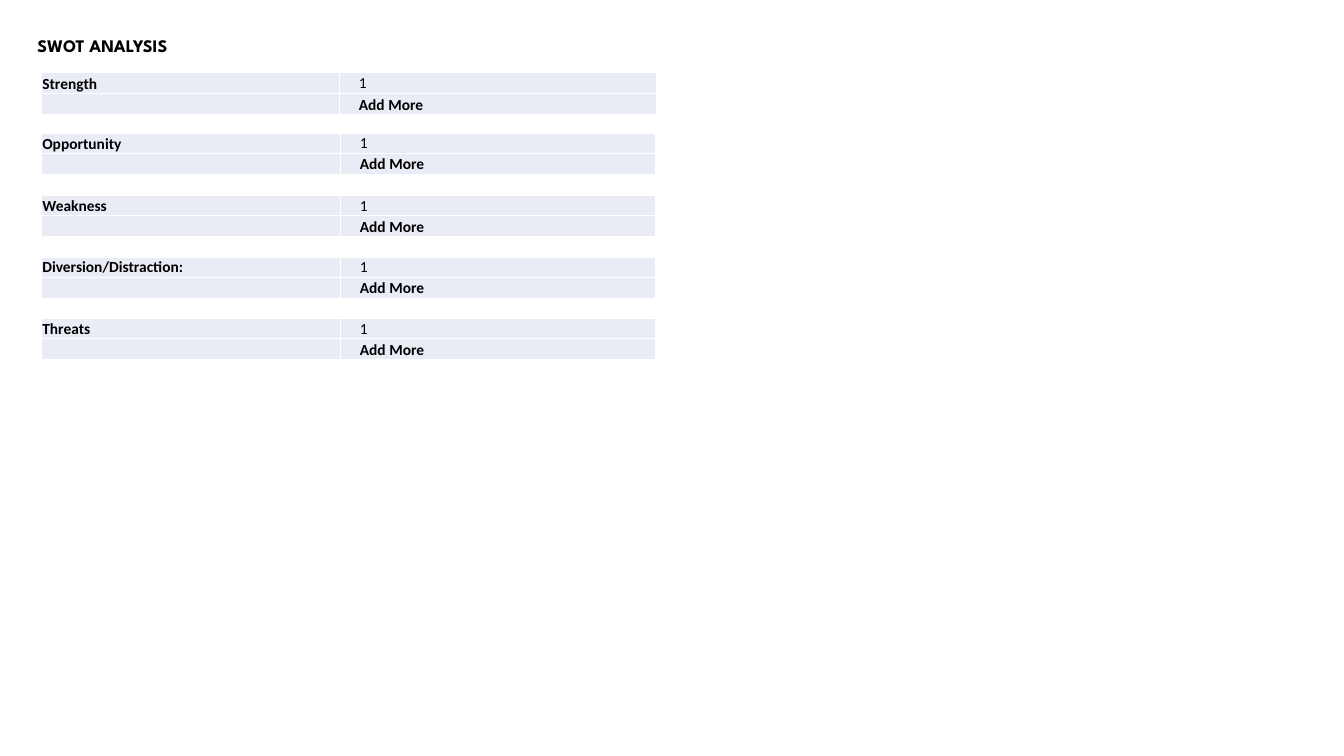
"""Build the SWOT analysis slide with one small table per category."""
from lxml.etree import SubElement
from pptx import Presentation
from pptx.dml.color import RGBColor
from pptx.enum.text import MSO_ANCHOR, PP_ALIGN
from pptx.oxml.ns import qn
from pptx.util import Inches, Pt

TABLE_LEFT = 0.41
FIRST_GRID = ([2.96, 3.14], [0.21, 0.21])
OTHER_GRID = ([2.97, 3.12], [0.2, 0.21])
CATEGORIES = [
    ("Strength", 0.72, FIRST_GRID),
    ("Opportunity", 1.32, OTHER_GRID),
    ("Weakness", 1.94, OTHER_GRID),
    ("Diversion/Distraction:", 2.55, OTHER_GRID),
    ("Threats", 3.16, OTHER_GRID),
]
TEXT_SIZE = 11
BLACK, WHITE, CELL_FILL = "000000", "FFFFFF", "E9EBF5"


def color(value):
    return RGBColor.from_string(value)


def add_run(paragraph, text, font_name, size, bold):
    run = paragraph.add_run()
    run.text = text
    run.font.name = font_name
    run.font.size = Pt(size)
    run.font.bold = bold
    run.font.color.rgb = color(BLACK)


def set_borders(cell):
    properties = cell._tc.get_or_add_tcPr()
    for side in ("a:lnL", "a:lnR", "a:lnT", "a:lnB"):
        line = SubElement(properties, qn(side), w=str(Pt(1)))
        fill = SubElement(line, qn("a:solidFill"))
        SubElement(fill, qn("a:srgbClr"), val=WHITE)


def format_cell(cell, text, bold, left_margin, anchor):
    set_borders(cell)
    cell.fill.solid()
    cell.fill.fore_color.rgb = color(CELL_FILL)
    cell.margin_left = Inches(left_margin)
    cell.margin_right = cell.margin_top = Inches(0.01)
    cell.margin_bottom = 0
    cell.vertical_anchor = anchor
    paragraph = cell.text_frame.paragraphs[0]
    if text:
        add_run(paragraph, text, "Calibri", TEXT_SIZE, bold)
    else:
        SubElement(paragraph._p, qn("a:endParaRPr"), sz=str(TEXT_SIZE * 100))


def add_category_table(slide, category, top, grid):
    widths, heights = grid
    table = slide.shapes.add_table(
        len(heights), len(widths), Inches(TABLE_LEFT), Inches(top),
        Inches(sum(widths)), Inches(sum(heights))).table
    table.first_row = table.horz_banding = False
    for column, width in zip(table.columns, widths):
        column.width = Inches(width)
    entries = [(category, "1", False), ("", "Add More", True)]
    for row, height, (label, entry, bold) in zip(table.rows, heights, entries):
        row.height = Inches(height)
        format_cell(row.cells[0], label, True, 0.01, MSO_ANCHOR.BOTTOM)
        format_cell(row.cells[1], entry, bold, 0.19, MSO_ANCHOR.MIDDLE)


def set_title(slide, text):
    title = slide.shapes.title
    title.left, title.top = Inches(0.27), Inches(0.32)
    title.width, title.height = Inches(2.89), Inches(0.29)
    text_frame = title.text_frame
    text_frame.word_wrap = True
    text_frame.vertical_anchor = MSO_ANCHOR.MIDDLE
    paragraph = text_frame.paragraphs[0]
    paragraph.alignment = PP_ALIGN.LEFT
    paragraph.line_spacing = 0.9
    add_run(paragraph, text, "League Spartan", 12.6, True)


def main():
    presentation = Presentation()
    presentation.slide_width = Inches(13.33)
    presentation.slide_height = Inches(7.5)
    slide = presentation.slides.add_slide(presentation.slide_layouts[5])
    set_title(slide, "SWOT ANALYSIS")
    for category, top, grid in CATEGORIES:
        add_category_table(slide, category, top, grid)
    presentation.save("out.pptx")


if __name__ == "__main__":
    main()
